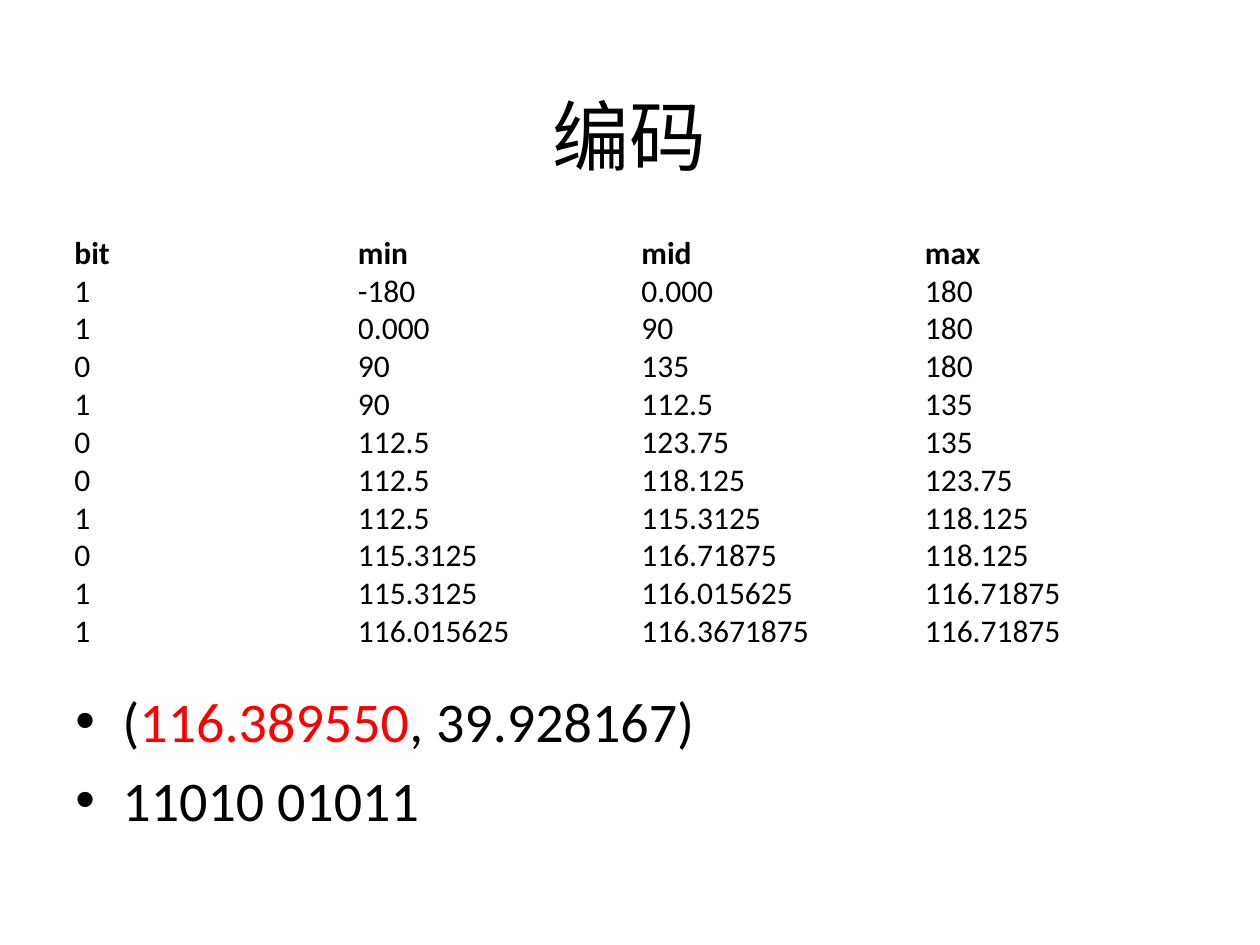
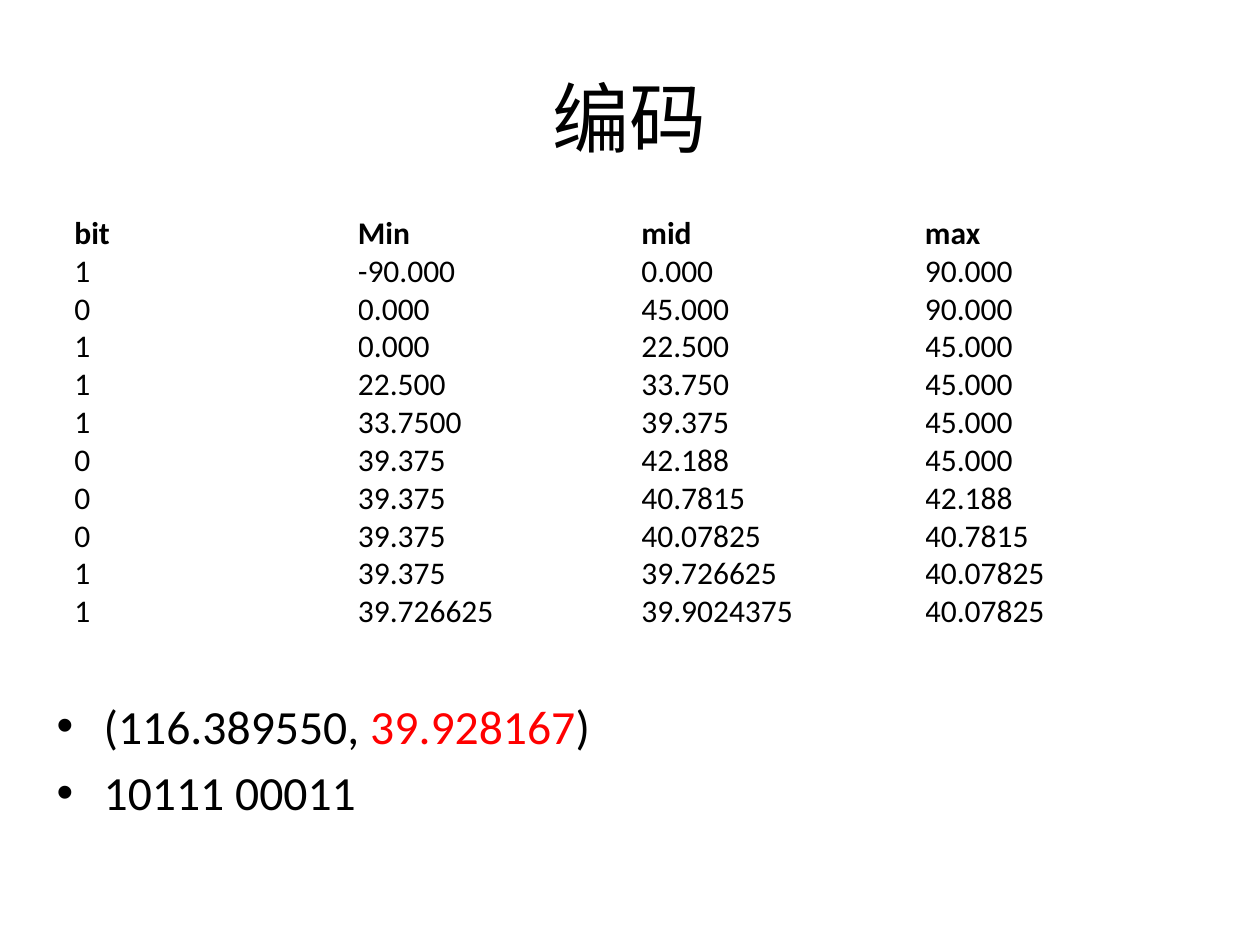
from dataclasses import dataclass

from lxml import etree
from pptx import Presentation
from pptx.dml.color import RGBColor
from pptx.enum.text import MSO_ANCHOR, PP_ALIGN
from pptx.oxml.ns import qn
from pptx.util import Cm, Pt

CENTER, LEFT = PP_ALIGN.CENTER, PP_ALIGN.LEFT
MIDDLE, TOP = MSO_ANCHOR.MIDDLE, MSO_ANCHOR.TOP


@dataclass(frozen=True)
class Theme:
    font: str = "Calibri"
    ink: str = "000000"
    accent: str = "FF0000"
    background: str = "FFFFFF"
    title_size: float = 44
    table_size: float = 18
    indent: float = 0.95


THEME = Theme()

LONGITUDE_ROWS = """
bit min mid max
1 -180 0.000 180
1 0.000 90 180
0 90 135 180
1 90 112.5 135
0 112.5 123.75 135
0 112.5 118.125 123.75
1 112.5 115.3125 118.125
0 115.3125 116.71875 118.125
1 115.3125 116.015625 116.71875
1 116.015625 116.3671875 116.71875
"""

LATITUDE_ROWS = """
bit Min mid max
1 -90.000 0.000 90.000
0 0.000 45.000 90.000
1 0.000 22.500 45.000
1 22.500 33.750 45.000
1 33.7500 39.375 45.000
0 39.375 42.188 45.000
0 39.375 40.7815 42.188
0 39.375 40.07825 40.7815
1 39.375 39.726625 40.07825
1 39.726625 39.9024375 40.07825
"""


def add_text(p, text, size, color=THEME.ink, bold=False, align=LEFT):
    p.alignment = align
    r = p.add_run()
    r.text = text
    r.font.name = THEME.font
    r.font.size = Pt(size)
    r.font.bold = bold
    r.font.color.rgb = RGBColor.from_string(color)


def add_box(s, box, anchor=TOP):
    tf = s.shapes.add_textbox(*map(Cm, box)).text_frame
    tf.word_wrap = True
    tf.vertical_anchor = anchor
    return tf


def set_bullet(p):
    pPr = p._p.get_or_add_pPr()
    pPr.set("marL", str(Cm(THEME.indent)))
    pPr.set("indent", str(-Cm(THEME.indent)))
    before = etree.SubElement(pPr, qn("a:spcBef"))
    etree.SubElement(before, qn("a:spcPct"), val="20000")
    etree.SubElement(pPr, qn("a:buFont"), typeface="Arial")
    etree.SubElement(pPr, qn("a:buChar"), char="•")


def add_title(s, box, text):
    tf = add_box(s, box, MIDDLE)
    add_text(tf.paragraphs[0], text, THEME.title_size, align=CENTER)


def add_bisection_table(s, box, text):
    rows = [line.split() for line in text.strip().splitlines()]
    table = s.shapes.add_table(len(rows), len(rows[0]), *map(Cm, box)).table
    table.first_row = table.horz_banding = False
    for i, row in enumerate(rows):
        for j, value in enumerate(row):
            cell = table.cell(i, j)
            cell.fill.background()
            cell.margin_left = cell.margin_right = 0
            cell.margin_top = cell.margin_bottom = 0
            p = cell.text_frame.paragraphs[0]
            add_text(p, value, THEME.table_size, bold=i == 0)


def add_bullets(s, box, items, size):
    tf = add_box(s, box)
    for i, runs in enumerate(items):
        p = tf.add_paragraph() if i else tf.paragraphs[0]
        set_bullet(p)
        for text, color in runs:
            add_text(p, text, size, color)


def add_encoding_slide(prs, title_top, table_top, rows, body_box, body_size, items):
    s = prs.slides.add_slide(prs.slide_layouts[6])
    s.background.fill.solid()
    s.background.fill.fore_color.rgb = RGBColor.from_string(THEME.background)
    add_title(s, (1.27, title_top, 22.86, 3.18), "编码")
    add_bullets(s, body_box, items, body_size)
    add_bisection_table(s, (1.5, table_top, 22.86, 8.38), rows)


def main():
    prs = Presentation()
    prs.slide_width, prs.slide_height = Cm(25.4), Cm(19.05)
    ink, accent = THEME.ink, THEME.accent
    add_encoding_slide(
        prs, 1.12, 4.72, LONGITUDE_ROWS, (1.27, 13.72, 22.86, 3.3), 32,
        [[("(", ink), ("116.389550", accent), (", 39.928167)", ink)],
         [("11010 01011", ink)]])
    add_encoding_slide(
        prs, 0.76, 4.32, LATITUDE_ROWS, (0.89, 13.92, 22.86, 2.49), 27.2,
        [[("(116.389550, ", ink), ("39.928167", accent), (")", ink)],
         [("10111 00011", ink)]])
    prs.save("out.pptx")


if __name__ == "__main__":
    main()
